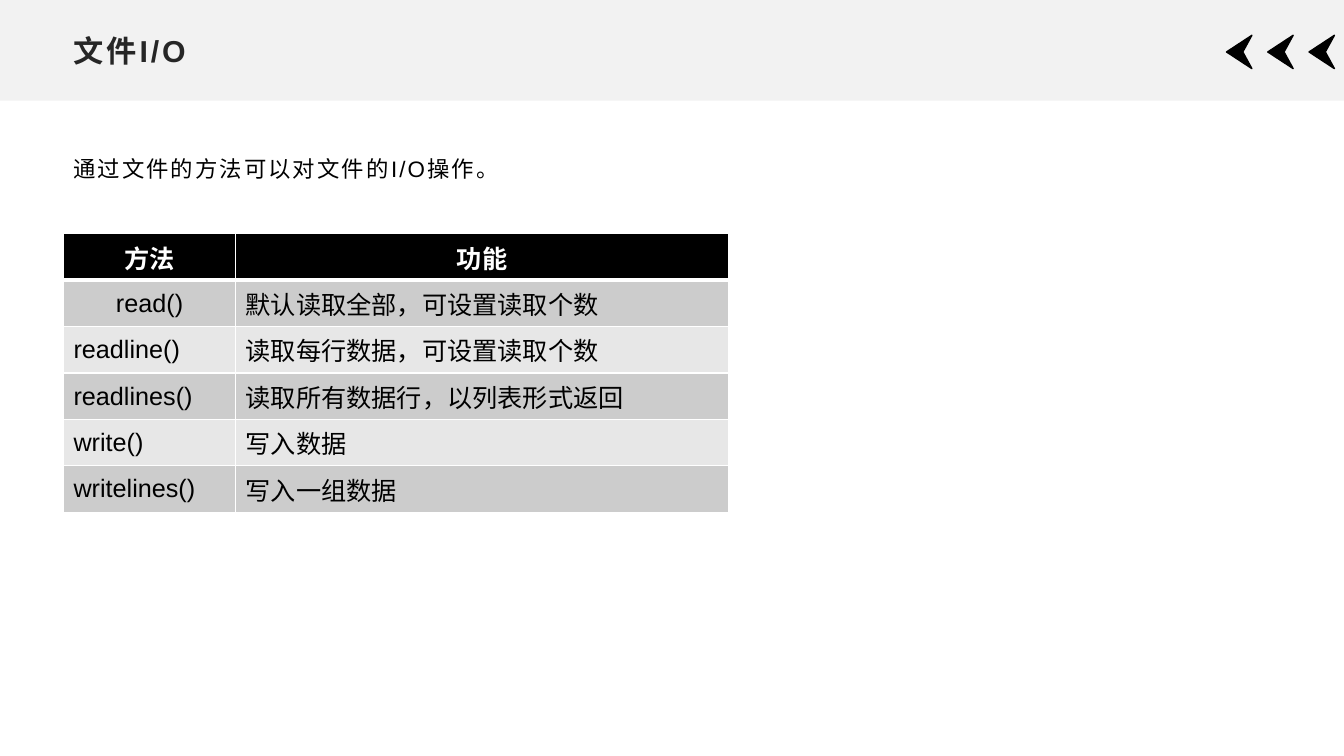
from lxml.etree import SubElement
from pptx import Presentation
from pptx.dml.color import RGBColor
from pptx.enum.lang import MSO_LANGUAGE_ID as Language
from pptx.enum.shapes import MSO_SHAPE as Shape
from pptx.enum.text import MSO_ANCHOR as Anchor, MSO_AUTO_SIZE as AutoSize, PP_ALIGN as Align
from pptx.oxml.ns import qn
from pptx.util import Cm, Pt

TITLE = "文件I/O"
INTRO = "通过文件的方法可以对文件的I/O操作。"
METHODS = [
    ("方法", "功能"),
    ("read()", "默认读取全部，可设置读取个数"),
    ("readline()", "读取每行数据，可设置读取个数"),
    ("readlines()", "读取所有数据行，以列表形式返回"),
    ("write()", "写入数据"),
    ("writelines()", "写入一组数据"),
]
COLUMN_WIDTHS = (4.34, 12.42)
ROW_HEIGHT = 1.17
LEFT = 1.6
ARROW_POINTS = [(31.55, 1.73), (30.91, 1.31), (31.55, 0.89), (31.32, 1.31)]
ARROW_COUNT = 3
ARROW_STEP = 1.04
BLACK, WHITE = "000000", "FFFFFF"
BANDS = ("E7E7E7", "CCCCCC")


def color(value):
    return RGBColor.from_string(value)


def paint(shape, fill, line=None):
    shape.shadow.inherit = False
    shape.fill.solid()
    shape.fill.fore_color.rgb = color(fill)
    if line:
        shape.line.color.rgb = color(line)
        shape.line.width = Pt(1)
    else:
        shape.line.fill.background()


def write(frame, text, size, text_color, bold=False, align=Align.LEFT, spacing=0):
    paragraph = frame.paragraphs[0]
    paragraph.alignment = align
    run = paragraph.add_run()
    run.text = text
    font = run.font
    font.name = "Arial"
    font.size = Pt(size)
    font.bold = bold
    font.color.rgb = color(text_color)
    font.language_id = Language.SIMPLIFIED_CHINESE
    if spacing:
        run.font._element.set("spc", str(round(spacing * 100)))
    return paragraph


def add_borders(cell, top, bottom):
    properties = cell._tc.get_or_add_tcPr()
    for index, (side, width) in enumerate((("L", 1), ("R", 1), ("T", top), ("B", bottom))):
        line = SubElement(properties, qn(f"a:ln{side}"), w=str(Pt(width)))
        fill = SubElement(line, qn("a:solidFill"))
        SubElement(fill, qn("a:srgbClr"), val=WHITE)
        properties.insert(index, line)


def add_header(slide):
    band = slide.shapes.add_shape(Shape.RECTANGLE, 0, 0, Cm(33.87), Cm(2.54))
    paint(band, "F2F2F2")
    for number in range(ARROW_COUNT):
        points = [(Cm(x + number * ARROW_STEP), Cm(y)) for x, y in ARROW_POINTS]
        builder = slide.shapes.build_freeform(*points[0])
        builder.add_line_segments(points[1:], close=True)
        paint(builder.convert_to_shape(), BLACK, BLACK)

    title = slide.shapes.title
    title.element.getparent().append(title.element)
    title.left, title.top, title.width, title.height = Cm(LEFT), Cm(0.66), Cm(30.66), Cm(1.22)
    title.text_frame.auto_size = AutoSize.NONE
    title.text_frame.vertical_anchor = Anchor.MIDDLE
    write(title.text_frame, TITLE, 21.6, "262626", bold=True, spacing=2)


def add_intro(slide):
    frame = slide.shapes.add_textbox(Cm(LEFT), Cm(3.58), Cm(11.96), Cm(1.22)).text_frame
    frame.word_wrap = True
    paragraph = write(frame, INTRO, 16, BLACK, spacing=1.5)
    paragraph.line_spacing = 1.3
    paragraph.space_after = Pt(10)


def add_methods(slide):
    table = slide.shapes.add_table(
        len(METHODS), len(COLUMN_WIDTHS), Cm(LEFT), Cm(5.89),
        Cm(sum(COLUMN_WIDTHS)), Cm(ROW_HEIGHT * len(METHODS))).table
    for column, width in zip(table.columns, COLUMN_WIDTHS):
        column.width = Cm(width)
    for row, texts in enumerate(METHODS):
        table.rows[row].height = Cm(ROW_HEIGHT)
        header = row == 0
        for column, text in enumerate(texts):
            cell = table.cell(row, column)
            cell.fill.solid()
            cell.fill.fore_color.rgb = color(BLACK if header else BANDS[row % 2])
            add_borders(cell, 3 if row == 1 else 1, 3 if header else 1)
            if column == 0 and not header:
                cell.vertical_anchor = Anchor.MIDDLE
            centered = header or text == "read()"
            write(cell.text_frame, text, 18, WHITE if header else BLACK, bold=header,
                  align=Align.CENTER if centered else Align.LEFT)


def main():
    presentation = Presentation()
    presentation.slide_width, presentation.slide_height = Cm(33.87), Cm(19.05)
    slide = presentation.slides.add_slide(presentation.slide_layouts[5])
    add_header(slide)
    add_intro(slide)
    add_methods(slide)
    presentation.save("out.pptx")


if __name__ == "__main__":
    main()
